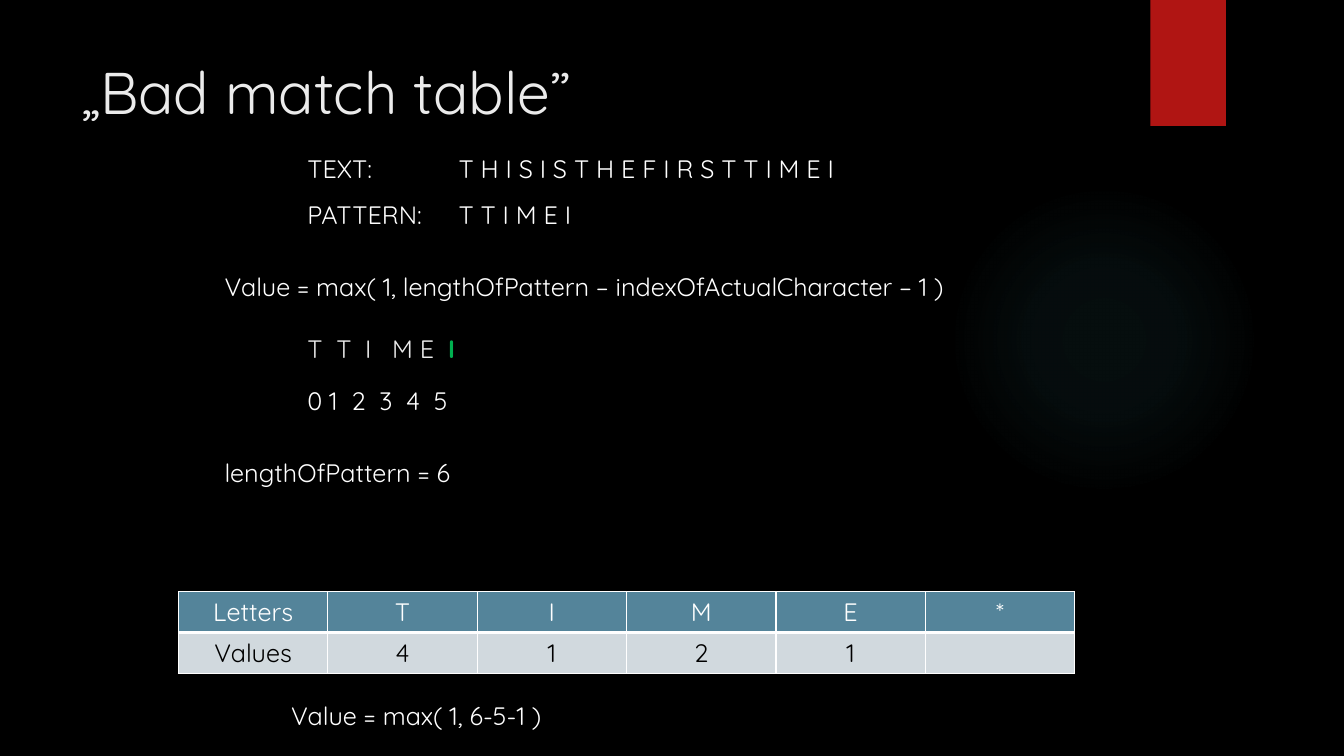
from pptx import Presentation
from pptx.dml.color import RGBColor
from pptx.enum.shapes import MSO_SHAPE
from pptx.enum.text import MSO_AUTO_SIZE, PP_ALIGN
from pptx.oxml import parse_xml
from pptx.oxml.ns import nsdecls
from pptx.util import Inches, Pt

RECT, OVAL = MSO_SHAPE.RECTANGLE, MSO_SHAPE.OVAL
CENTER = PP_ALIGN.CENTER
GROW = MSO_AUTO_SIZE.SHAPE_TO_FIT_TEXT
FONT = "Quicksand"
WHITE, PALE, BLACK = "FFFFFF", "EBEBEB", "000000"
RED, GREEN, GLOW = "B01513", "00B050", "50B9C1"
HEADER, BODY = "54849A", "D1D9DE"
LINE_HEIGHT = 0.4
EXAMPLE_LEFT, FORMULA_LEFT, RESULT_LEFT = 2.95, 2.13, 2.79
LINES = [
    (EXAMPLE_LEFT, 1.47, 7.09, WHITE, ["TEXT:\t\tT H I S I S T H E F I R S T T I M E I"]),
    (EXAMPLE_LEFT, 1.93, 7.09, WHITE, ["PATTERN:\tT T I M E I"]),
    (FORMULA_LEFT, 2.64, 9.18, WHITE,
     ["Value = max( 1, lengthOfPattern – indexOfActualCharacter – 1 )"]),
    (EXAMPLE_LEFT, 3.26, 3.95, PALE, ["T  T  I   M E  ", "I"]),
    (EXAMPLE_LEFT, 3.77, 3.95, WHITE, ["0 1  2  3  4  5"]),
    (FORMULA_LEFT, 4.49, 7.02, WHITE, ["lengthOfPattern = 6"]),
    (RESULT_LEFT, 6.9, 7.02, WHITE, ["Value = max( 1, 6-5-1 )"]),
]
MATCH_TABLE = [["Letters", "T", "I", "M", "E", "*"],
               ["Values", "4", "1", "2", "1", ""]]


def rgb(value):
    """Turn a hex string into a colour."""
    return RGBColor.from_string(value)


def style(font, size, color, bold=None):
    """Set the typeface, size, colour and weight of a font."""
    font.name, font.size, font.bold = FONT, Pt(size), bold
    font.color.rgb = rgb(color)


def add_plain_shape(s, kind, box, color):
    """Add a filled shape without outline or shadow."""
    sp = s.shapes.add_shape(kind, *map(Inches, box))
    sp.shadow.inherit = False
    sp.fill.solid()
    sp.fill.fore_color.rgb = rgb(color)
    sp.line.fill.background()
    return sp


def add_backdrop(s):
    """Draw the black background, the soft glow and the red tab."""
    s.background.fill.solid()
    s.background.fill.fore_color.rgb = rgb(BLACK)
    sp = add_plain_shape(s, OVAL, (9.41, 1.83, 3.08, 3.08), GLOW)
    stops = "".join(
        f'<a:gs pos="{pos * 1000}"><a:srgbClr val="{GLOW}">'
        f'<a:alpha val="{alpha * 1000}"/></a:srgbClr></a:gs>'
        for pos, alpha in ((0, 7), (36, 6), (69, 0)))
    gradient = parse_xml(
        f'<a:gradFill {nsdecls("a")}><a:gsLst>{stops}</a:gsLst><a:path path="circle">'
        '<a:fillToRect l="50000" t="50000" r="50000" b="50000"/></a:path></a:gradFill>')
    solid = sp.fill._xPr.solidFill if hasattr(sp.fill._xPr, "solidFill") else sp.fill._xPr.eg_fillProperties
    sp.fill._xPr.replace(solid, gradient)
    add_plain_shape(s, RECT, (11.41, 0, 0.75, 1.25), RED)


def add_text(s, box, parts, size, color):
    """Add a text box; any part after the first is a bold green highlight."""
    sp = s.shapes.add_textbox(*map(Inches, box))
    tf = sp.text_frame
    tf.word_wrap = True
    p = tf.paragraphs[0]
    for i, part in enumerate(parts):
        r = p.add_run()
        r.text = part
        style(r.font, size, GREEN if i else color, bool(i))
    return tf


def set_borders(cell, bottom):
    """Give a cell white borders, with its own bottom width in points."""
    for side, width in zip("LRTB", (1, 1, 1, bottom)):
        cell._tc.get_or_add_tcPr().append(parse_xml(
            f'<a:ln{side} {nsdecls("a")} w="{Pt(width)}"><a:solidFill>'
            f'<a:srgbClr val="{WHITE}"/></a:solidFill></a:ln{side}>'))


def add_match_table(s, box, rows):
    """Add the table of letters and their shift values."""
    table = s.shapes.add_table(len(rows), len(rows[0]), *map(Inches, box)).table
    looks = ((HEADER, WHITE, 3), (BODY, BLACK, 1))
    for i, (row, (fill, color, bottom)) in enumerate(zip(rows, looks)):
        for j, text in enumerate(row):
            cell = table.cell(i, j)
            set_borders(cell, bottom)
            cell.fill.solid()
            cell.fill.fore_color.rgb = rgb(fill)
            cell.text = text
            p = cell.text_frame.paragraphs[0]
            p.alignment = CENTER
            style(p.font, 18, color)
            for r in p.runs:
                style(r.font, 18, color)


def main():
    """Build the slide and save it."""
    prs = Presentation()
    prs.slide_width, prs.slide_height = Inches(13.33), Inches(7.5)
    s = prs.slides.add_slide(prs.slide_layouts[6])
    add_backdrop(s)
    add_text(s, (0.71, 0.5, 10.29, 1.53), ["„Bad match table”"], 42, PALE)
    for left, top, width, color, parts in LINES:
        tf = add_text(s, (left, top, width, LINE_HEIGHT), parts, 18, color)
        tf.auto_size = GROW
    add_match_table(s, (1.77, 5.87, 8.89, 0.81), MATCH_TABLE)
    prs.save("out.pptx")


if __name__ == "__main__":
    main()
